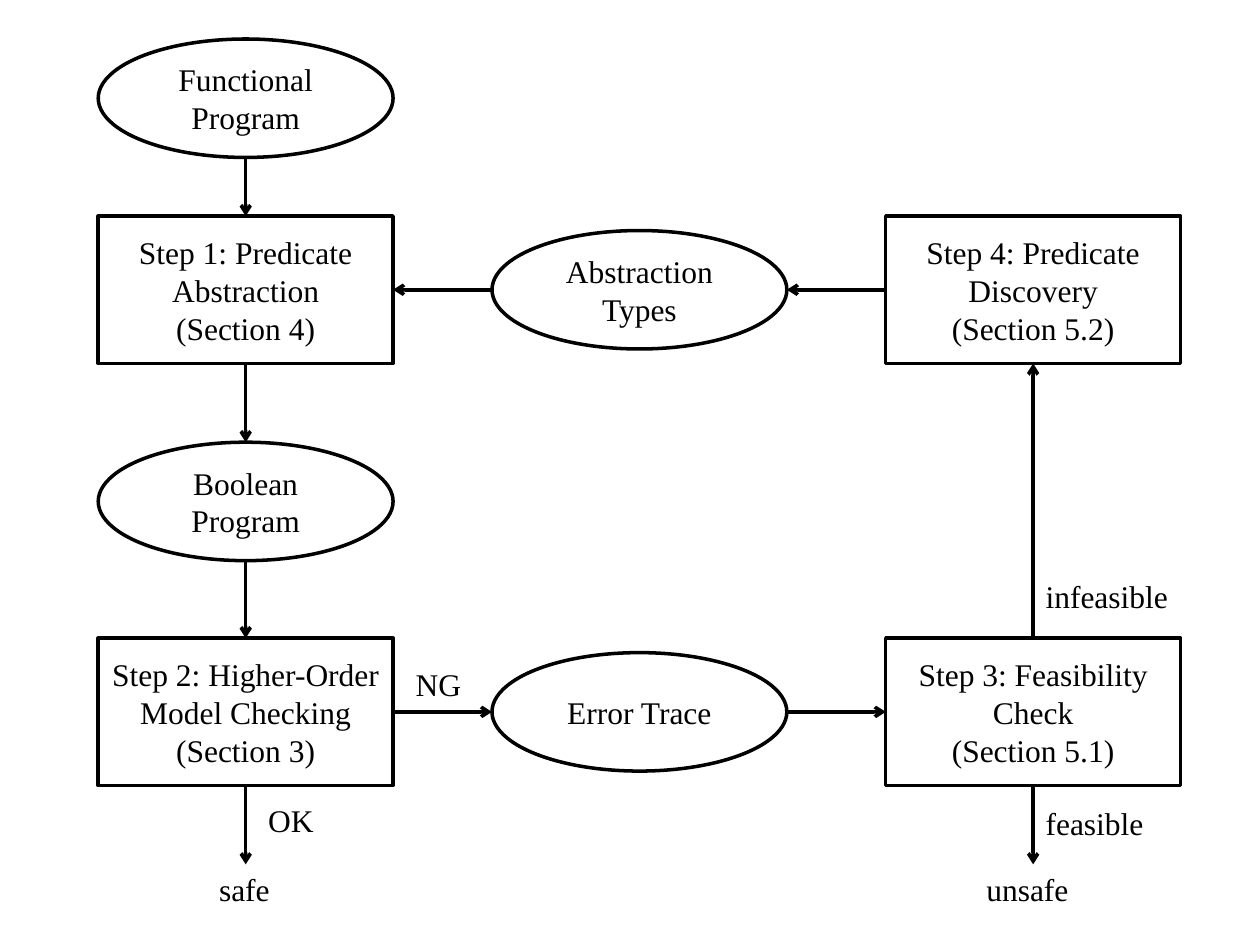
import pptx
import pptx.dml.color
import pptx.enum.shapes
import pptx.enum.text
import pptx.oxml
import pptx.oxml.ns
import pptx.util
from dataclasses import dataclass

Inches = pptx.util.Inches
SHAPE = pptx.enum.shapes.MSO_SHAPE


@dataclass(frozen=True)
class Theme:
    font: str = "Times New Roman"
    size: int = 18
    ink: str = "000000"
    paper: str = "FFFFFF"
    line: float = 2


THEME = Theme()
INK = pptx.dml.color.RGBColor.from_string(THEME.ink)
PAPER = pptx.dml.color.RGBColor.from_string(THEME.paper)

# Content: node -> (kind, column, row, paragraphs made of lines)
NODES = {
    "functional": ("oval", 0, 0, [["Functional Program"]]),
    "step 1": ("box", 0, 1, [["Step 1: Predicate", "Abstraction"], ["(Section 4)"]]),
    "boolean": ("oval", 0, 2, [["Boolean Program"]]),
    "step 2": ("box", 0, 3, [["Step 2: Higher-Order", "Model Checking", "(Section 3)"]]),
    "trace": ("oval", 1, 3, [["Error Trace"]]),
    "step 3": ("box", 2, 3, [["Step 3: Feasibility Check", "(Section 5.1)"]]),
    "step 4": ("box", 2, 1, [["Step 4: Predicate Discovery", "(Section 5.2)"]]),
    "types": ("oval", 1, 1, [["Abstraction Types"]]),
}
# Arrows: start node, side it leaves, end node (None = free end), side it enters
TOP, LEFT, BOTTOM, RIGHT = range(4)
ARROWS = [
    ("functional", BOTTOM, "step 1", TOP),
    ("step 1", BOTTOM, "boolean", TOP),
    ("boolean", BOTTOM, "step 2", TOP),
    ("step 2", BOTTOM, None, None),
    ("step 2", RIGHT, "trace", LEFT),
    ("trace", RIGHT, "step 3", LEFT),
    ("step 3", TOP, "step 4", BOTTOM),
    ("step 4", LEFT, "types", RIGHT),
    ("types", LEFT, "step 1", RIGHT),
    ("step 3", BOTTOM, None, None),
]
# Labels: text, left, top, width
LABELS = [
    ("safe", 1.64, 6.86, 0.63),
    ("unsafe", 7.73, 6.86, 0.94),
    ("OK", 2.03, 6.31, 0.63),
    ("NG", 3.2, 5.23, 0.63),
    ("feasible", 8.2, 6.33, 1.25),
    ("infeasible", 8.2, 4.53, 1.48),
]

# Grid, in inches
COLUMNS = [1.95 + 3.125 * column for column in range(3)]
ROWS = [0.78, 2.3, 3.98, 5.65]
NODE_WIDTH = 2.34
KINDS = {"box": (SHAPE.RECTANGLE, 1.17), "oval": (SHAPE.OVAL, 0.94)}
EXIT_Y = 6.86
LABEL_HEIGHT = 0.4


def write(text_frame, paragraphs, alignment):
    text_frame.word_wrap = True
    for number, lines in enumerate(paragraphs):
        paragraph = text_frame.add_paragraph() if number else text_frame.paragraphs[0]
        paragraph.alignment = alignment
        for position, line in enumerate(lines):
            if position:
                paragraph.add_line_break()
            run = paragraph.add_run()
            run.text = line
            run.font.name = THEME.font
            run.font.size = pptx.util.Pt(THEME.size)
            run.font.color.rgb = INK


def draw_line(line):
    line.color.rgb = INK
    line.width = pptx.util.Pt(THEME.line)


def add_node(slide, kind, column, row, paragraphs):
    preset, height = KINDS[kind]
    shape = slide.shapes.add_shape(
        preset, Inches(COLUMNS[column] - NODE_WIDTH / 2), Inches(ROWS[row] - height / 2),
        Inches(NODE_WIDTH), Inches(height))
    shape.shadow.inherit = False
    shape.fill.solid()
    shape.fill.fore_color.rgb = PAPER
    draw_line(shape.line)
    shape.text_frame.vertical_anchor = pptx.enum.text.MSO_ANCHOR.MIDDLE
    write(shape.text_frame, paragraphs, pptx.enum.text.PP_ALIGN.CENTER)
    return shape


def side_point(shape, side):
    middle_x = shape.left + shape.width // 2
    middle_y = shape.top + shape.height // 2
    return {
        TOP: (middle_x, shape.top),
        LEFT: (shape.left, middle_y),
        BOTTOM: (middle_x, shape.top + shape.height),
        RIGHT: (shape.left + shape.width, middle_y),
    }[side]


def add_arrow(slide, shapes, start, start_side, end, end_side):
    begin = side_point(shapes[start], start_side)
    finish = side_point(shapes[end], end_side) if end else (begin[0], Inches(EXIT_Y))
    connector = slide.shapes.add_connector(
        pptx.enum.shapes.MSO_CONNECTOR.STRAIGHT, *begin, *finish)
    if NODES[start][0] == "box":
        connector.begin_connect(shapes[start], start_side)
    if end and NODES[end][0] == "box":
        connector.end_connect(shapes[end], end_side)
    draw_line(connector.line)
    # Arrowhead, and no shadow
    outline = connector.line._get_or_add_ln()
    head = pptx.oxml.parse_xml(
        f'<a:tailEnd {pptx.oxml.ns.nsdecls("a")} type="arrow"/>')
    outline.append(head)
    connector._element.spPr.append(
        pptx.oxml.parse_xml(f'<a:effectLst {pptx.oxml.ns.nsdecls("a")}/>'))


def add_label(slide, text, left, top, width):
    box = slide.shapes.add_textbox(
        Inches(left), Inches(top), Inches(width), Inches(LABEL_HEIGHT))
    write(box.text_frame, [[text]], pptx.enum.text.PP_ALIGN.LEFT)
    box.text_frame.auto_size = pptx.enum.text.MSO_AUTO_SIZE.SHAPE_TO_FIT_TEXT


def main():
    presentation = pptx.Presentation()
    presentation.slide_width, presentation.slide_height = Inches(10), Inches(7.5)
    slide = presentation.slides.add_slide(presentation.slide_layouts[6])
    shapes = {name: add_node(slide, *node) for name, node in NODES.items()}
    for arrow in ARROWS:
        add_arrow(slide, shapes, *arrow)
    for label in LABELS:
        add_label(slide, *label)
    presentation.save("out.pptx")


if __name__ == "__main__":
    main()
